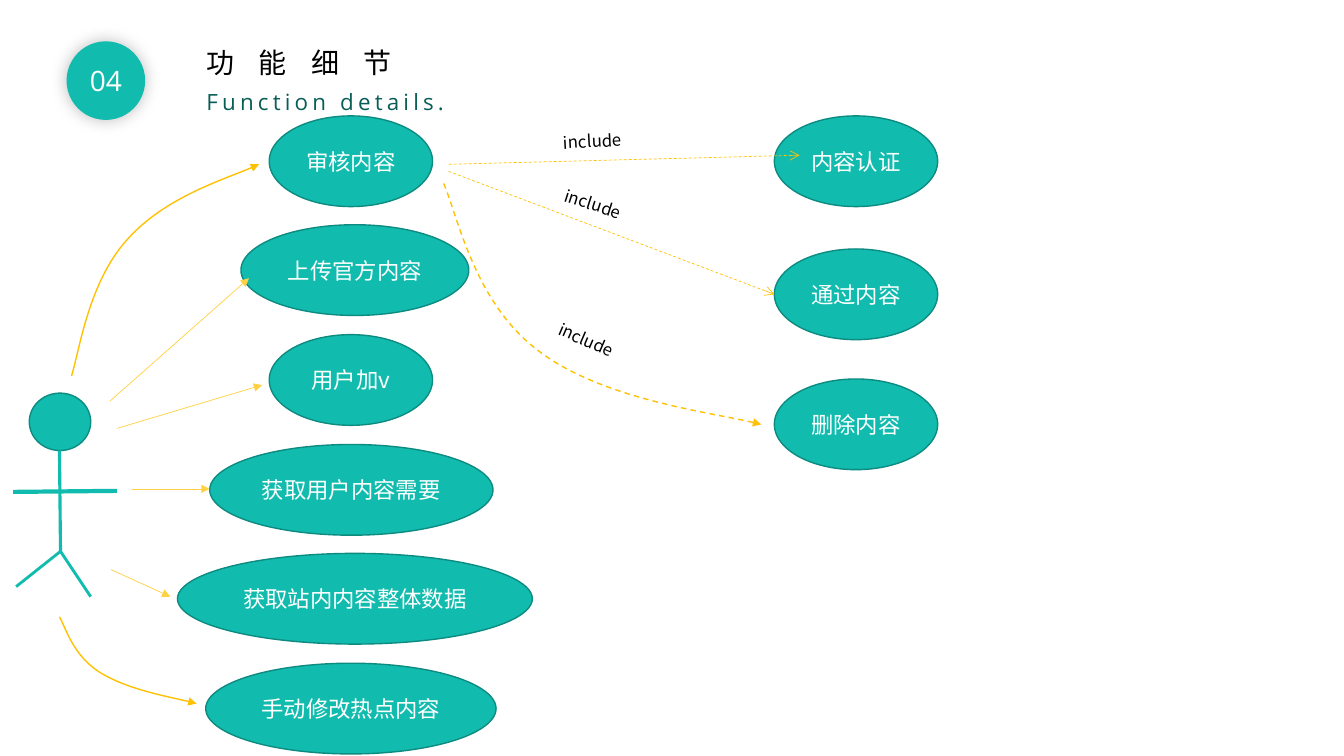
from dataclasses import dataclass
from typing import Optional

from lxml.etree import SubElement
from pptx import Presentation
from pptx.dml.color import RGBColor
from pptx.enum.dml import MSO_LINE
from pptx.enum.shapes import MSO_CONNECTOR, MSO_SHAPE
from pptx.enum.text import MSO_ANCHOR, MSO_AUTO_SIZE, PP_ALIGN
from pptx.oxml.ns import qn
from pptx.util import Emu, Pt

PX = 9144  # EMU per px, 100 px to the inch

TEAL = RGBColor(0x11, 0xBC, 0xAE)
TEAL_EDGE = RGBColor(0x0D, 0x8B, 0x81)
TEAL_DARK = RGBColor(0x08, 0x5E, 0x57)
AMBER = RGBColor(0xFF, 0xC1, 0x04)
AMBER_LIGHT = RGBColor(0xFF, 0xD1, 0x43)
BLACK = RGBColor(0, 0, 0)
WHITE = RGBColor(0xFF, 0xFF, 0xFF)

LATIN, CJK = "Open Sans", "Noto Sans CJK SC"
CASE_TOP, CASE_HEIGHT = 115, 90
Point = tuple[int, int]


@dataclass
class UseCase:
    label: str
    left: int
    top: int
    width: int = 162


@dataclass
class Stroke:
    color: RGBColor
    width: float
    head: Optional[str] = None
    dashed: bool = False


@dataclass
class Link:
    points: list[Point]  # two points: straight; seven: two Bézier segments
    stroke: Stroke


@dataclass
class IncludeLabel:
    left: int
    top: int
    angle: float


# Content
ACTIONS = [
    UseCase(label, left, CASE_TOP + 1087 * row // 10, width)
    for row, (label, left, width) in enumerate([
        ("审核内容", 267, 162),
        ("上传官方内容", 239, 226),
        ("用户加v", 267, 162),
        ("获取用户内容需要", 208, 281),
        ("获取站内内容整体数据", 176, 352),
        ("手动修改热点内容", 204, 288),
    ])
]
INCLUDED = [
    UseCase("内容认证", 768, CASE_TOP),
    UseCase("通过内容", 768, 247),
    UseCase("删除内容", 768, 376),
]

LIMB = Stroke(TEAL, 2)
ACTOR_LIMBS = [
    Link([(13, 488), (116, 487)], Stroke(TEAL, 3)),
    Link([(59, 447), (60, 547)], Stroke(TEAL, 2.25)),
    Link([(16, 582), (60, 547)], LIMB),
    Link([(90, 592), (60, 547)], LIMB),
]

STRAIGHT = Stroke(AMBER_LIGHT, 0.5, "triangle")
CURVED = Stroke(AMBER, 1, "triangle")
INCLUDE = Stroke(AMBER, 0.5, "arrow", dashed=True)
INCLUDE_CURVED = Stroke(AMBER, 1, "triangle", dashed=True)
ARROWS = [
    Link([(71, 373), (79, 347), (88, 280), (126, 238),
          (163, 196), (232, 175), (257, 163)], CURVED),
    Link([(109, 398), (247, 276)], STRAIGHT),
    Link([(116, 425), (260, 382)], STRAIGHT),
    Link([(131, 485), (208, 485)], STRAIGHT),
    Link([(110, 565), (169, 592)], STRAIGHT),
    Link([(59, 612), (65, 622), (72, 650), (99, 667),
          (126, 684), (177, 693), (195, 698)], CURVED),
    Link([(445, 163), (793, 154)], INCLUDE),
    Link([(445, 170), (768, 292)], INCLUDE),
    Link([(440, 182), (454, 214), (470, 300), (534, 348),
          (597, 396), (713, 410), (755, 421)], INCLUDE_CURVED),
]
INCLUDE_LABELS = [
    IncludeLabel(549, 123, -3.1),
    IncludeLabel(548, 198, 17.7),
    IncludeLabel(540, 336, 23.4),
]


def write(shape, text: str, size: int, color: RGBColor, typeface: str,
          spacing: int = 0, align: PP_ALIGN = PP_ALIGN.LEFT) -> None:
    paragraph = shape.text_frame.paragraphs[0]
    paragraph.text = text
    paragraph.alignment = align
    font = paragraph.font
    font.size, font.name = Pt(size), typeface
    font.color.rgb = color
    props = paragraph._p.pPr.find(qn("a:defRPr"))
    SubElement(props, qn("a:ea")).set("typeface", typeface)
    if spacing:
        props.set("spc", str(spacing * 100))


def place(shape, left: int, top: int, width: int, height: int) -> None:
    shape.left, shape.top = Emu(left * PX), Emu(top * PX)
    shape.width, shape.height = Emu(width * PX), Emu(height * PX)


def add_text(slide, left: int, top: int, width: int, height: int):
    box = slide.shapes.add_textbox(0, 0, 0, 0)
    place(box, left, top, width, height)
    box.text_frame.word_wrap = True
    return box


def add_ellipse(slide, left: int, top: int, width: int, height: int, outlined: bool = True):
    ellipse = slide.shapes.add_shape(MSO_SHAPE.OVAL, 0, 0, 0, 0)
    place(ellipse, left, top, width, height)
    ellipse.shadow.inherit = False
    ellipse.fill.solid()
    ellipse.fill.fore_color.rgb = TEAL
    if outlined:
        ellipse.line.color.rgb = TEAL_EDGE
        ellipse.line.width = Pt(1)
    else:
        ellipse.line.fill.background()
    frame = ellipse.text_frame
    frame.vertical_anchor = MSO_ANCHOR.MIDDLE
    frame.margin_left = frame.margin_right = 0
    return ellipse


def add_use_case(slide, case: UseCase) -> None:
    ellipse = add_ellipse(slide, case.left, case.top, case.width, CASE_HEIGHT)
    write(ellipse, case.label, 16, WHITE, CJK, align=PP_ALIGN.CENTER)


def add_curve(slide, points: list[Point]):
    builder = slide.shapes.build_freeform(*points[0], scale=float(PX))
    builder.add_line_segments(points[1:], close=False)
    curve = builder.convert_to_shape()
    curve.fill.background()
    curve.shadow.inherit = False
    # Turn every three line steps into one Bézier segment
    steps = list(curve._element.iter(qn("a:lnTo")))
    for start in range(0, len(steps), 3):
        bezier = steps[start]
        bezier.tag = qn("a:cubicBezTo")
        for step in steps[start + 1:start + 3]:
            bezier.append(step[0])
            step.getparent().remove(step)
    return curve


def add_link(slide, link: Link) -> None:
    if len(link.points) == 2:
        ends = [Emu(value * PX) for point in link.points for value in point]
        shape = slide.shapes.add_connector(MSO_CONNECTOR.STRAIGHT, *ends)
    else:
        shape = add_curve(slide, link.points)
    stroke, line = link.stroke, shape.line
    line.color.rgb = stroke.color
    line.width = Pt(stroke.width)
    if stroke.dashed:
        line.dash_style = MSO_LINE.DASH
    if stroke.head:
        SubElement(line._get_or_add_ln(), qn("a:tailEnd")).set("type", stroke.head)
    if len(link.points) == 2:
        SubElement(shape._element.spPr, qn("a:effectLst"))


def add_glow(shape) -> None:
    effects = shape._element.spPr.find(qn("a:effectLst"))
    shadow = SubElement(effects, qn("a:outerShdw"), blurRad=str(Pt(12)), dist="0", algn="ctr")
    color = SubElement(shadow, qn("a:srgbClr"), val=str(BLACK))
    SubElement(color, qn("a:alpha"), val="26000")


def add_heading(slide) -> None:
    badge = add_ellipse(slide, 66, 41, 78, 78, outlined=False)
    add_glow(badge)
    write(badge, "04", 20, WHITE, LATIN, align=PP_ALIGN.CENTER)

    title = slide.shapes.title
    place(title, 195, 40, 304, 44)
    title.text_frame.vertical_anchor = MSO_ANCHOR.TOP
    title.text_frame.auto_size = MSO_AUTO_SIZE.NONE
    write(title, "功 能 细 节", 20, BLACK, LATIN, spacing=6)

    subtitle = add_text(slide, 195, 83, 427, 37)
    write(subtitle, "Function details.", 16, TEAL_DARK, LATIN, spacing=3)


def main() -> None:
    deck = Presentation()
    deck.slide_width, deck.slide_height = Emu(1333 * PX), Emu(750 * PX)
    slide = deck.slides.add_slide(deck.slide_layouts[5])
    add_heading(slide)

    # Actor
    add_ellipse(slide, 29, 390, 61, 57)
    for limb in ACTOR_LIMBS:
        add_link(slide, limb)

    # Use cases and their relations
    for case in ACTIONS + INCLUDED:
        add_use_case(slide, case)
    for arrow in ARROWS:
        add_link(slide, arrow)
    for label in INCLUDE_LABELS:
        box = add_text(slide, label.left, label.top, 148, 30)
        box.rotation = label.angle
        write(box, "include", 12, BLACK, CJK)

    deck.save("out.pptx")


if __name__ == "__main__":
    main()
